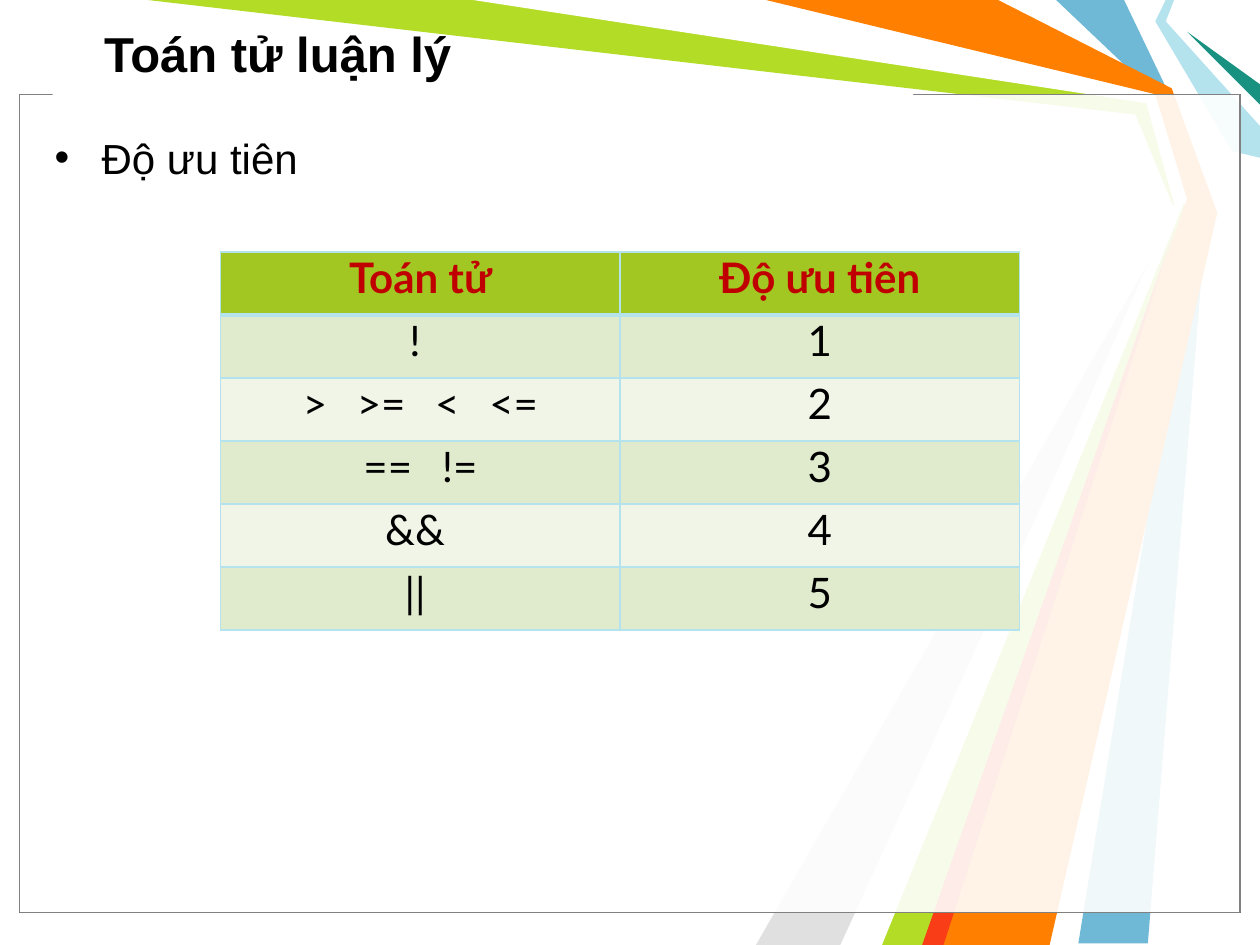
"""Build the slide on the precedence of logical operators."""
from dataclasses import dataclass

from lxml.etree import SubElement
from pptx import Presentation
from pptx.dml.color import RGBColor
from pptx.enum.shapes import MSO_SHAPE
from pptx.enum.text import MSO_ANCHOR, PP_ALIGN
from pptx.oxml.ns import qn
from pptx.util import Cm, Pt


@dataclass(frozen=True)
class Theme:
    """Hold the colours, fonts and type sizes."""
    text: str = "000000"
    paper: str = "FFFFFF"
    frame: str = "808080"
    blue: str = "6FB9D7"
    green: str = "B3DC27"
    grey: str = "E0E0E0"
    cyan: str = "B4E3EE"
    teal: str = "189180"
    orange: str = "FF7F00"
    red: str = "F93D17"
    header_text: str = "C00000"
    header: str = "A2C722"
    bands: tuple = ("E0EBCD", "F0F5E8")
    font: str = "Arial"
    table_font: str = "Lato"
    title_size: float = 28
    body_size: float = 24
    operator_gap: float = 10.8


THEME = Theme()

RIBBONS = [
    (THEME.blue, [(22.66, 0), (23.6, 1.96), (24.33, 4.24), (23.14, 19.02),
                  (21.74, 19.02), (24.13, 4.24), (23.29, 1.9), (21.29, 0)]),
    (THEME.green, [(2.97, 0), (9.73, 0), (23.22, 1.98), (23.93, 4.29),
                   (18.85, 19.05), (17.58, 19.05), (23.75, 4.39), (22.89, 2.31)]),
    (THEME.grey, [(16.94, 19.05), (23.55, 4.6), (15.24, 19.05)]),
    (THEME.paper, [(9.53, 0), (23.11, 2.08), (23.67, 4.11), (17.15, 19.05),
                   (17.78, 19.05), (23.9, 4.01), (23.29, 1.9), (15.24, 0)]),
    (THEME.cyan, [(23.5, 0), (23.29, 0.43), (24.84, 3.05), (25.4, 3.18),
                  (25.4, 2.54), (23.5, 0.43), (23.67, 0)]),
    (THEME.teal, [(25.4, 2.11), (23.93, 0.64), (25.4, 1.7)]),
    (THEME.orange, [(15.44, 0), (20.12, 0), (23.62, 1.78), (24.54, 4.29),
                    (21.16, 19.05), (18.62, 19.05), (23.93, 4.01), (23.29, 1.9)]),
    (THEME.red, [(18.59, 19.05), (23.67, 4.65), (19.02, 19.05)]),
]

PRECEDENCE = [
    (["Toán tử"], ["Độ ưu tiên"]),
    (["! "], ["1"]),
    ([">", ">=", "<", "<="], ["2"]),
    (["==", "!="], ["3"]),
    (["&& "], ["4"]),
    (["|| "], ["5"]),
]


def paint(shape, color, line=None, opacity=None):
    """Set the fill, outline and opacity of a shape."""
    shape.shadow.inherit = False
    shape.fill.solid()
    shape.fill.fore_color.rgb = RGBColor.from_string(color)
    if opacity:
        fill_color = shape.fill._xPr.find(f"{qn('a:solidFill')}/{qn('a:srgbClr')}")
        SubElement(fill_color, qn("a:alpha"), val=str(opacity * 1000))
    if line:
        shape.line.color.rgb = RGBColor.from_string(line)
        shape.line.width = Pt(0.75)
    else:
        shape.line.fill.background()


def add_ribbon(slide, color, points):
    """Draw one closed decorative outline."""
    start, *others = [(Cm(x), Cm(y)) for x, y in points]
    builder = slide.shapes.build_freeform(*start)
    builder.add_line_segments(others, close=True)
    paint(builder.convert_to_shape(), color)


def add_panel(slide, box, line=None, opacity=None):
    """Draw one white rectangle."""
    shape = slide.shapes.add_shape(MSO_SHAPE.RECTANGLE, *map(Cm, box))
    paint(shape, THEME.paper, line, opacity)


def add_run(paragraph, text, size, font=THEME.font, color=THEME.text, bold=False):
    """Append a formatted run and return it."""
    run = paragraph.add_run()
    run.text = text
    run.font.name = font
    run.font.size = Pt(size)
    run.font.bold = bold
    run.font.color.rgb = RGBColor.from_string(color)
    return run


def add_text(slide, box, text, size, bold=False, anchor=MSO_ANCHOR.TOP):
    """Add a wrapped text box and return its paragraph."""
    frame = slide.shapes.add_textbox(*map(Cm, box)).text_frame
    frame.word_wrap = True
    frame.vertical_anchor = anchor
    paragraph = frame.paragraphs[0]
    add_run(paragraph, text, size, bold=bold)
    return paragraph


def set_bullet(paragraph, indent):
    """Give a paragraph a bullet with a hanging indent."""
    properties = paragraph._p.get_or_add_pPr()
    properties.set("marL", str(Cm(indent)))
    properties.set("indent", str(-Cm(indent)))
    SubElement(properties, qn("a:buFont"), typeface=THEME.font)
    SubElement(properties, qn("a:buChar"), char="•")


def set_borders(cell, top, bottom):
    """Draw the four borders of a cell."""
    properties = cell._tc.get_or_add_tcPr()
    for side, width in (("L", 1), ("R", 1), ("T", top), ("B", bottom)):
        line = SubElement(properties, qn(f"a:ln{side}"), w=str(Pt(width)))
        fill = SubElement(line, qn("a:solidFill"))
        SubElement(fill, qn("a:srgbClr"), val=THEME.cyan)


def fill_cell(cell, words, row):
    """Write and format one table cell."""
    is_header = row == 0
    set_borders(cell, 3 if row == 1 else 1, 3 if is_header else 1)
    cell.fill.solid()
    background = THEME.header if is_header else THEME.bands[(row - 1) % 2]
    cell.fill.fore_color.rgb = RGBColor.from_string(background)
    cell.margin_left = cell.margin_right = Cm(0.18)
    cell.margin_top = cell.margin_bottom = 0
    paragraph = cell.text_frame.paragraphs[0]
    paragraph.alignment = PP_ALIGN.CENTER
    style = (THEME.body_size, THEME.table_font,
             THEME.header_text if is_header else THEME.text, is_header)
    for position, word in enumerate(words):
        if position:
            gap = add_run(paragraph, " ", *style)
            gap.font._rPr.set("spc", str(round(THEME.operator_gap * 100)))
        add_run(paragraph, word, *style)


def add_precedence_table(slide, box):
    """Add the table of operators and their precedence."""
    table = slide.shapes.add_table(len(PRECEDENCE), 2, *map(Cm, box)).table
    for row, contents in enumerate(PRECEDENCE):
        for column, words in enumerate(contents):
            fill_cell(table.cell(row, column), words, row)


def main():
    """Build and save the presentation."""
    presentation = Presentation()
    presentation.slide_width, presentation.slide_height = Cm(25.4), Cm(19.05)
    slide = presentation.slides.add_slide(presentation.slide_layouts[6])
    for color, points in RIBBONS:
        add_ribbon(slide, color, points)
    for line in (THEME.text, THEME.frame):
        add_panel(slide, (0.4, 1.9, 24.6, 16.5), line, opacity=69)
    add_panel(slide, (1.06, 1.88, 17.35, 0.43))
    add_text(slide, (1.85, 0.2, 23.15, 1.75), "Toán tử luận lý",
             THEME.title_size, bold=True, anchor=MSO_ANCHOR.MIDDLE)
    body = add_text(slide, (0.85, 2.54, 23.8, 15.67), "Độ ưu tiên", THEME.body_size)
    body.alignment = PP_ALIGN.JUSTIFY
    body.space_before = Pt(4.8)
    set_bullet(body, 0.95)
    add_precedence_table(slide, (4.45, 5.08, 16.1, 7.62))
    presentation.save("out.pptx")


main()
